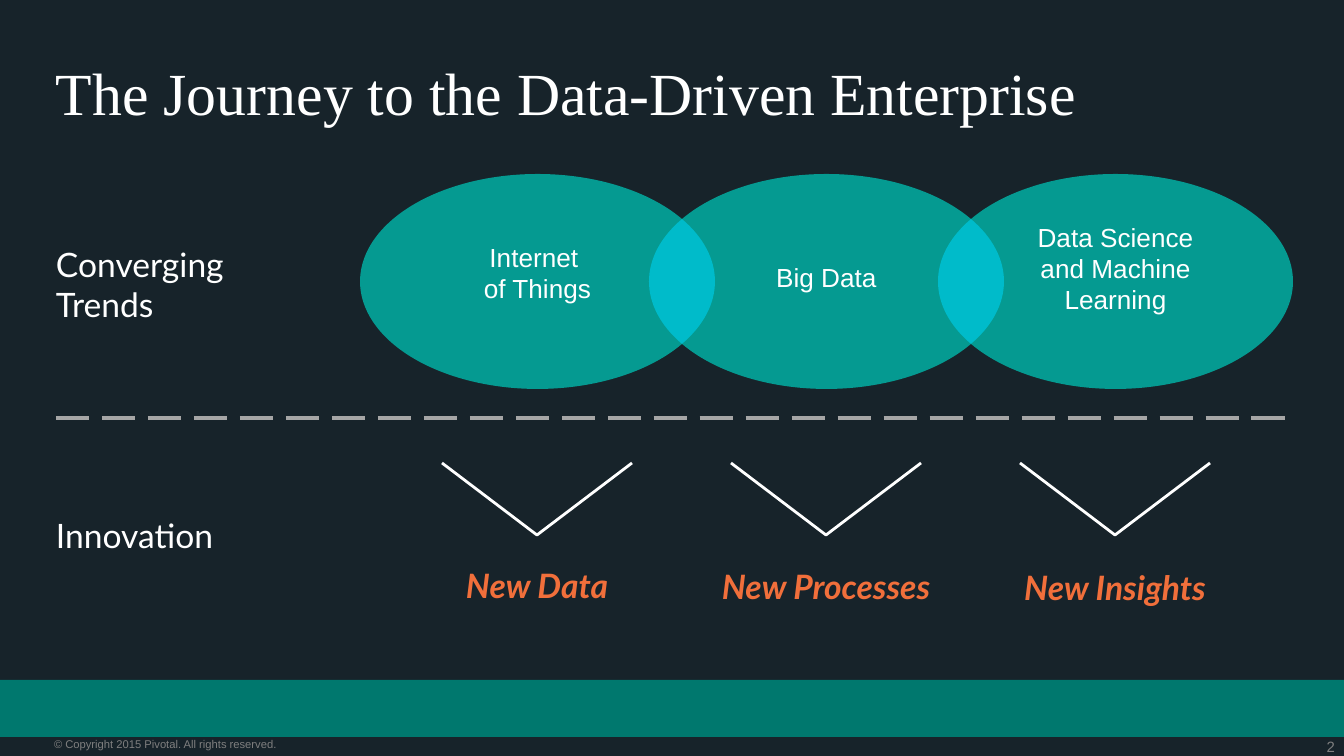
import math

import lxml.etree
import pptx
import pptx.dml.color
import pptx.enum.dml
import pptx.enum.shapes
import pptx.enum.text
import pptx.oxml
import pptx.oxml.ns
import pptx.util

EMU_PER_PX = 9144000 / 1344
COLORS = {
    "background": "17232A",
    "band": "00786E",
    "trend": "059A91",
    "overlap": "00BBCA",
    "innovation": "F16F3B",
    "divider": "A6A6A6",
    "footer": "7F7F7F",
    "white": "FFFFFF",
}
ALIGN = pptx.enum.text.PP_ALIGN
SHAPE = pptx.enum.shapes.MSO_SHAPE

PITCH = 289
TRENDS = [
    ("Internet \nof Things", 60, 179, 95),
    ("Big Data", 80, 145, 54),
    ("Data Science\vand Machine\vLearning", 40, 261, 136),
]
INNOVATIONS = [
    ("New Data", 102, 176, 40),
    ("New Processes", 103, 246, 82),
    ("New Insights", 104, 246, 40),
]


def px(length):
    """Turn pixels into EMU."""
    return pptx.util.Emu(round(length * EMU_PER_PX))


def rgb(name):
    """Look up a named colour."""
    return pptx.dml.color.RGBColor.from_string(COLORS[name])


def add_text(slide, text, box, size, font, color, align=ALIGN.LEFT,
             inset=0, top_inset=0, emphasis=None):
    """Place text in a box with one style for all its paragraphs."""
    frame = slide.shapes.add_textbox(*map(px, box)).text_frame
    frame.word_wrap = True
    frame.margin_left = frame.margin_right = frame.margin_bottom = px(inset)
    frame.margin_top = px(top_inset or inset)
    frame.text = text
    for paragraph in frame.paragraphs:
        paragraph.alignment = align
        paragraph.font.size = pptx.util.Pt(size)
        paragraph.font.name = font
        paragraph.font.color.rgb = rgb(color)
        paragraph.font.bold = paragraph.font.italic = emphasis


def add_solid(slide, preset, box, color):
    """Add a filled preset shape without outline."""
    solid = slide.shapes.add_shape(preset, *map(px, box))
    solid.shadow.inherit = False
    solid.fill.solid()
    solid.fill.fore_color.rgb = rgb(color)
    solid.line.fill.background()


def add_outline(slide, points, close):
    """Build a freeform through pixel points."""
    corners = [(px(x), px(y)) for x, y in points]
    builder = slide.shapes.build_freeform(*corners[0], scale=1.0)
    builder.add_line_segments(corners[1:], close=close)
    outline = builder.convert_to_shape()
    outline.shadow.inherit = False
    return outline


def bend_segments(outline):
    """Turn each three line segments of a freeform into one cubic curve."""
    qn = pptx.oxml.ns.qn
    lines = list(outline._element.iter(qn("a:lnTo")))
    for first in range(0, len(lines), 3):
        curve = lxml.etree.Element(qn("a:cubicBezTo"))
        lines[first].addprevious(curve)
        for line in lines[first:first + 3]:
            curve.append(line[0])
            line.getparent().remove(line)


def add_overlap(slide, left, top, width, height):
    """Fill the lens shared by the ellipse in the box and the next one."""
    radius_x, radius_y = width / 2, height / 2
    reach = math.acos(PITCH / width)
    pull = 4 / 3 * math.tan(reach / 4)
    half_width = radius_x - PITCH / 2
    half_height = radius_y * math.sin(reach)
    tip_x = pull * radius_x * math.sin(reach)
    tip_y = half_height - pull * radius_y * math.cos(reach)
    side_y = pull * radius_y
    quarter = [(0, -half_height), (tip_x, -tip_y), (half_width, -side_y), (half_width, 0)]
    right = quarter + [(x, -y) for x, y in quarter[-2::-1]]
    around = right + [(-x, y) for x, y in right[-2::-1]]
    center_x, center_y = left + radius_x + PITCH / 2, top + radius_y
    lens = add_outline(slide, [(center_x + x, center_y + y) for x, y in around], True)
    bend_segments(lens)
    lens.fill.solid()
    lens.fill.fore_color.rgb = rgb("overlap")
    lens.line.fill.background()


def add_trends(slide, left, top, width, height):
    """Draw the chain of overlapping trends from the first ellipse's box."""
    lefts = [left + PITCH * index for index in range(len(TRENDS))]
    for ellipse_left in lefts:
        add_solid(slide, SHAPE.OVAL, (ellipse_left, top, width, height), "trend")
    for ellipse_left in lefts[-2::-1]:
        add_overlap(slide, ellipse_left, top, width, height)
    for ellipse_left, (trend, offset, label_width, label_height) in zip(lefts, TRENDS):
        label_left = ellipse_left + (width - label_width) / 2
        add_text(slide, trend, (label_left, top + offset, label_width, label_height),
                 14, "Arial", "white", ALIGN.CENTER, inset=7)


def add_innovations(slide, left, top, width, height):
    """Draw a chevron and its innovation per trend from the first chevron's box."""
    for index, (innovation, offset, label_width, label_height) in enumerate(INNOVATIONS):
        start = left + PITCH * index
        middle = start + width / 2
        chevron = add_outline(
            slide, [(start, top), (middle, top + height), (start + width, top)], False)
        chevron.fill.background()
        chevron.line.color.rgb = rgb("white")
        chevron.line.width = pptx.util.Pt(1.5)
        add_text(slide, innovation,
                 (middle - label_width / 2, top + offset, label_width, label_height),
                 18, "Lato", "innovation", ALIGN.CENTER, emphasis=True)


def add_divider(slide, left, top, width):
    """Draw the dashed line between the two rows."""
    divider = slide.shapes.add_connector(
        pptx.enum.shapes.MSO_CONNECTOR.STRAIGHT,
        px(left), px(top), px(left + width), px(top))
    divider.line.color.rgb = rgb("divider")
    divider.line.width = pptx.util.Pt(2.25)
    divider.line.dash_style = pptx.enum.dml.MSO_LINE.LONG_DASH
    divider._element.spPr.append(pptx.oxml.parse_xml(
        '<a:effectLst xmlns:a="http://schemas.openxmlformats.org/drawingml/2006/main"/>'))


def add_footer(slide, left, top, width, height):
    """Draw the band with the copyright line and slide number below it."""
    add_solid(slide, SHAPE.RECTANGLE, (left, top, width, height), "band")
    add_text(slide, "2", (left + width - 87, top + 58, 78, 19),
             8, "Arial", "footer", ALIGN.RIGHT)
    add_text(slide, "© Copyright 2015 Pivotal. All rights reserved.",
             (left + 54, top + 57, 335, 13), 6, "Arial", "footer")


def add_headings(slide, left, top, width):
    """Write the title and the two row headings."""
    add_text(slide, "The Journey to the Data-Driven Enterprise",
             (left, top, width, 68), 32, "Times New Roman", "white", top_inset=8)
    add_text(slide, "Converging Trends", (left, top + 196, 184, 75), 18, "Lato", "white")
    add_text(slide, "Innovation", (left, top + 467, 184, 38), 18, "Lato", "white")


def main():
    """Build and save the slide."""
    deck = pptx.Presentation()
    deck.slide_width, deck.slide_height = px(1344), px(756)
    slide = deck.slides.add_slide(deck.slide_layouts[6])
    slide.background.fill.solid()
    slide.background.fill.fore_color.rgb = rgb("background")
    add_footer(slide, 0, 680, 1344, 57)
    add_divider(slide, 56, 418, 1235)
    add_headings(slide, 56, 48, 1236)
    add_trends(slide, 360, 174, 355, 215)
    add_innovations(slide, 442, 463, 190, 72)
    deck.save("out.pptx")


if __name__ == "__main__":
    main()
